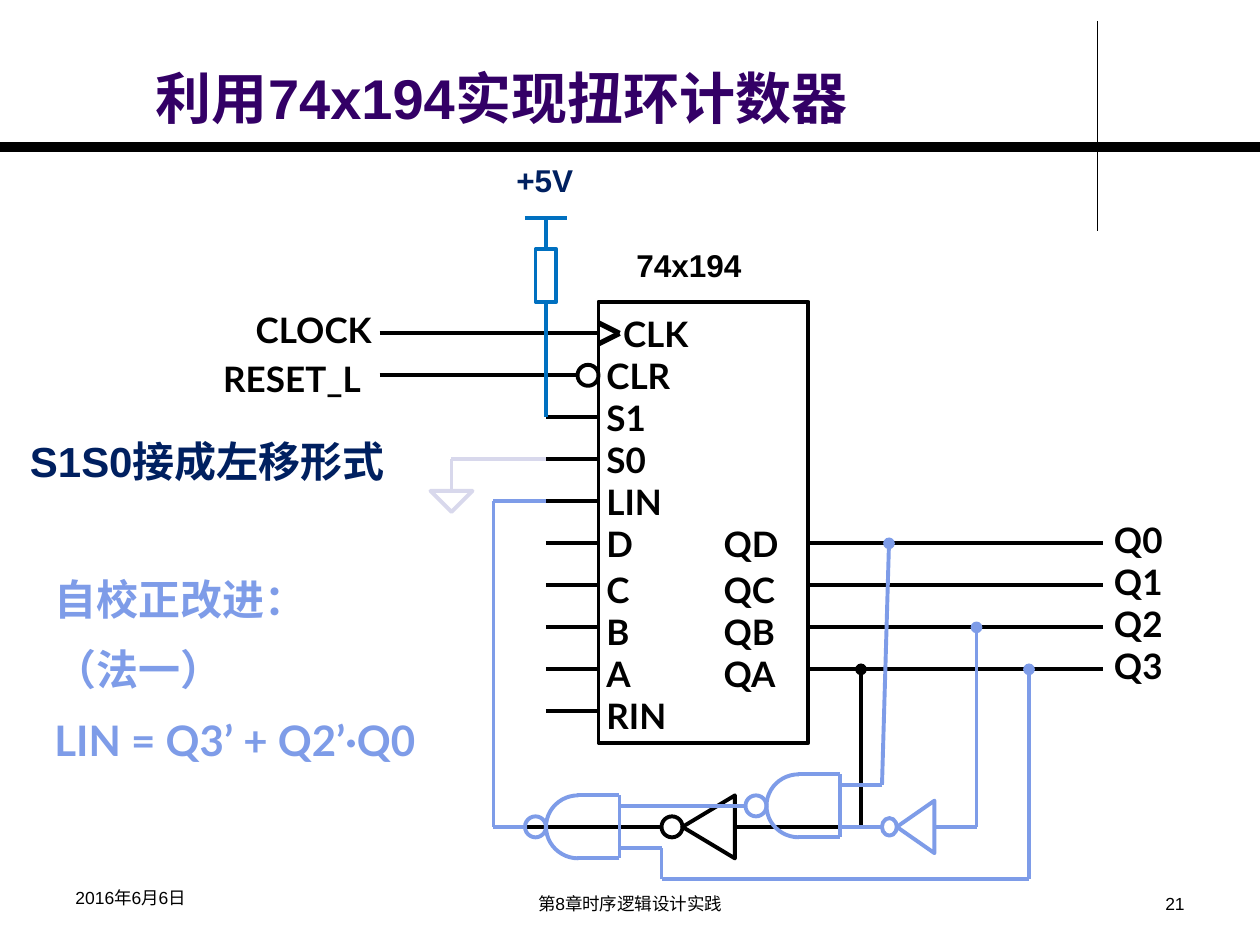
from lxml import etree
from pptx import Presentation
from pptx import util as u
from pptx.dml.color import RGBColor
from pptx.enum import shapes, text
from pptx.oxml import ns

Pt = u.Pt
MSO = shapes.MSO_SHAPE
COLORS = {
    "black": "000000", "title": "330066", "navy": "002060",
    "supply": "0070C0", "ground": "D8D8EC", "fix": "7E9CE8",
}
PIN_LEFT, CHIP_LEFT, CHIP_RIGHT, Q_END = 312, 342, 462, 630
FEEDBACK_X, GATE_Y = 282, 472.5


def row(i):
    """Height of the chip's pin number i, counted from CLK."""
    return 190.5 + 24 * i


def rgb(color):
    return RGBColor.from_string(COLORS[color])


def write(tf, lines, size=20, font="Lato", color="black", bold=True, align=None,
          spacing=None, wrap=False, anchor=text.MSO_ANCHOR.TOP):
    tf.word_wrap = wrap
    tf.vertical_anchor = anchor
    for i, line in enumerate(lines):
        p = tf.paragraphs[0] if i == 0 else tf.add_paragraph()
        p.alignment = align or text.PP_ALIGN.LEFT
        if spacing:
            p.line_spacing = spacing
        r = p.add_run()
        r.text = line
        r.font.size, r.font.name, r.font.bold = Pt(size), font, bold
        r.font.color.rgb = rgb(color)


class Drawing:
    """The current slide with its usual line width."""

    def __init__(self, s, width=2.25):
        self.s = s
        self.width = width

    def label(self, x, y, w, h, *lines, **fmt):
        tf = self.s.shapes.add_textbox(Pt(x), Pt(y), Pt(w), Pt(h)).text_frame
        write(tf, lines, **fmt)

    def shape(self, kind, x, y, w, h, color="black", rotation=0):
        sp = self.s.shapes.add_shape(kind, Pt(x), Pt(y), Pt(w), Pt(h))
        sp.shadow.inherit = False
        sp.fill.background()
        sp.line.color.rgb = rgb(color)
        sp.line.width = Pt(self.width)
        sp.rotation = rotation
        return sp

    def wire(self, *points, color="black", width=None, dot=False):
        """Straight lines through the points, with a dot at the first if asked."""
        lines = []
        for (x1, y1), (x2, y2) in zip(points, points[1:]):
            c = self.s.shapes.add_connector(
                shapes.MSO_CONNECTOR.STRAIGHT, Pt(x1), Pt(y1), Pt(x2), Pt(y2))
            c.line.color.rgb = rgb(color)
            c.line.width = Pt(width or self.width)
            props = c.element.spPr
            if dot and not lines:
                ln = props.find(ns.qn("a:ln"))
                etree.SubElement(ln, ns.qn("a:headEnd"), type="oval")
            etree.SubElement(props, ns.qn("a:effectLst"))
            lines.append(c)
        return lines

    def bubble(self, x, y, color="black", w=12, h=12):
        """Inversion circle whose left edge is at x and centre at height y."""
        self.shape(MSO.OVAL, x, y - h / 2, w, h, color)

    def inverter(self, x, y, length, height, color="black"):
        """Triangle pointing left with its tip at (x, y)."""
        self.shape(MSO.ISOSCELES_TRIANGLE, x + (length - height) / 2, y - length / 2,
                   height, length, color, rotation=270)

    def nand(self, x, y, color):
        """Gate facing left, its curve starting at x, with stubs on all pins."""
        arc = self.shape(MSO.ARC, x, y - 18, 37, 36, color)
        arc.adjustments[0], arc.adjustments[1] = 54, 162
        back = x + 42
        self.wire((x + 18, y - 18), (back, y - 18), (back, y + 18), (x + 18, y + 18),
                  color=color)
        self.bubble(x - 12, y, color)
        self.wire((x - 12, y), (x - 30, y), color=color)
        for dy in (-12, 12):
            self.wire((back + 24, y + dy), (back, y + dy), color=color)


def draw_frame(d):
    d.wire((627, 12), (627, 132), width=0.75)
    d.wire((0, 84), (720, 84), width=6)
    d.label(82, 24, 587, 54, "利用74x194实现扭环计数器", size=32, font="Arial",
            color="title", wrap=True, anchor=text.MSO_ANCHOR.BOTTOM)
    footer = dict(size=10, font="Arial", bold=False, wrap=True)
    d.label(36, 503.5, 168, 24, "2016年6月6日", **footer)
    d.label(246, 507, 228, 21, "第8章时序逻辑设计实践",
            align=text.PP_ALIGN.CENTER, **footer)
    d.label(516, 507, 168, 21, "21", align=text.PP_ALIGN.RIGHT, **footer)


def draw_chip(d):
    chip = d.shape(MSO.RECTANGLE, CHIP_LEFT, 172.5, CHIP_RIGHT - CHIP_LEFT, 252)
    tf = chip.text_frame
    tf.margin_left = Pt(4.5)
    write(tf, ["CLK", "CLR", "S1", "S0", "LIN", "D\tQD", "C\tQC", "B\tQB", "A\tQA",
               "RIN"], wrap=True)
    for p in tf.paragraphs:
        if p.text in ("CLK", "C\tQC"):
            p.line_spacing = 1.1
        props = p._p.get_or_add_pPr()
        if p.text == "CLK":
            props.set("marL", str(Pt(9.5)))
        if "\t" in p.text:
            tabs = etree.SubElement(props, ns.qn("a:tabLst"))
            etree.SubElement(tabs, ns.qn("a:tab"), pos=str(Pt(67)), algn="l")
    d.label(356.5, 137, 95, 36, "74x194", size=18, font="Arial")
    d.bubble(CHIP_LEFT - 12, row(1))
    d.wire((CHIP_LEFT, row(0) - 6), (CHIP_LEFT + 12, row(0)), (CHIP_LEFT, row(0) + 6),
           width=3)
    for i in range(10):
        end = CHIP_LEFT - 12 if i == 1 else CHIP_LEFT
        d.wire((PIN_LEFT, row(i)), (end, row(i)))
    for i in range(5, 9):
        d.wire((CHIP_RIGHT, row(i)), (492, row(i)), (Q_END, row(i)))
    d.label(629.5, 292.5, 42, 103, "Q0", "Q1", "Q2", "Q3")


def draw_inputs(d):
    d.label(139, 173, 82, 31, "CLOCK")
    d.label(120.5, 200.5, 103, 31, "RESET_L")
    for i in (0, 1):
        d.wire((217, row(i)), (PIN_LEFT, row(i)))

    resistor = d.shape(MSO.RECTANGLE, PIN_LEFT - 6, 142.5, 12, 30, "supply")
    for side, y, end in ((0, 142.5, 124.5), (2, 172.5, row(2))):
        c = d.wire((PIN_LEFT, y), (PIN_LEFT, end), color="supply")[0]
        c.begin_connect(resistor, side)
    d.wire((300, 124.5), (324, 124.5), color="supply")
    d.label(288, 88.5, 47.5, 29, "+5V", size=18, font="Arial", color="navy")

    d.wire((PIN_LEFT, row(3)), (258, row(3)), (258, 280.5), color="ground")
    d.shape(MSO.ISOSCELES_TRIANGLE, 246, 280.5, 24, 12, "ground", rotation=180)


def draw_plain_feedback(d):
    d.inverter(390, GATE_Y, 30, 36)
    d.bubble(378, GATE_Y)
    d.wire((492, row(8)), (492, GATE_Y), (420, GATE_Y), dot=True)
    d.wire((378, GATE_Y), (FEEDBACK_X, GATE_Y), (FEEDBACK_X, row(4)),
           (PIN_LEFT, row(4)))


def draw_self_correction(d):
    fix = "fix"
    d.nand(438, GATE_Y - 12, fix)
    d.nand(PIN_LEFT, GATE_Y, fix)
    d.inverter(512.5, GATE_Y, 21.5, 30, fix)
    d.bubble(504, GATE_Y, fix, 8.5, 10)
    d.wire((508, row(5)), (504, GATE_Y - 24), color=fix, dot=True)
    d.wire((558, row(7)), (558, GATE_Y), (534, GATE_Y), color=fix, dot=True)
    d.wire((588, row(8)), (588, 502.5), (378, 502.5), (378, GATE_Y + 12), color=fix,
           dot=True)
    d.wire((378, GATE_Y - 12), (408, GATE_Y - 12), color=fix)
    d.wire((FEEDBACK_X, GATE_Y), (FEEDBACK_X, row(4)), (PIN_LEFT, row(4)), color=fix)


def draw_notes(d):
    d.label(10, 245.5, 220, 36, "S1S0接成左移形式", size=24, font="Arial",
            color="navy", wrap=True)
    d.label(24, 312.5, 251, 130, "自校正改进：", "（法一）", "LIN = Q3’ + Q2’·Q0",
            size=24, color="fix", spacing=1.4)


def main():
    prs = Presentation()
    prs.slide_width, prs.slide_height = Pt(720), Pt(540)
    d = Drawing(prs.slides.add_slide(prs.slide_layouts[6]))
    for draw in (draw_frame, draw_chip, draw_plain_feedback, draw_inputs, draw_notes,
                 draw_self_correction):
        draw(d)
    prs.save("out.pptx")


if __name__ == "__main__":
    main()
